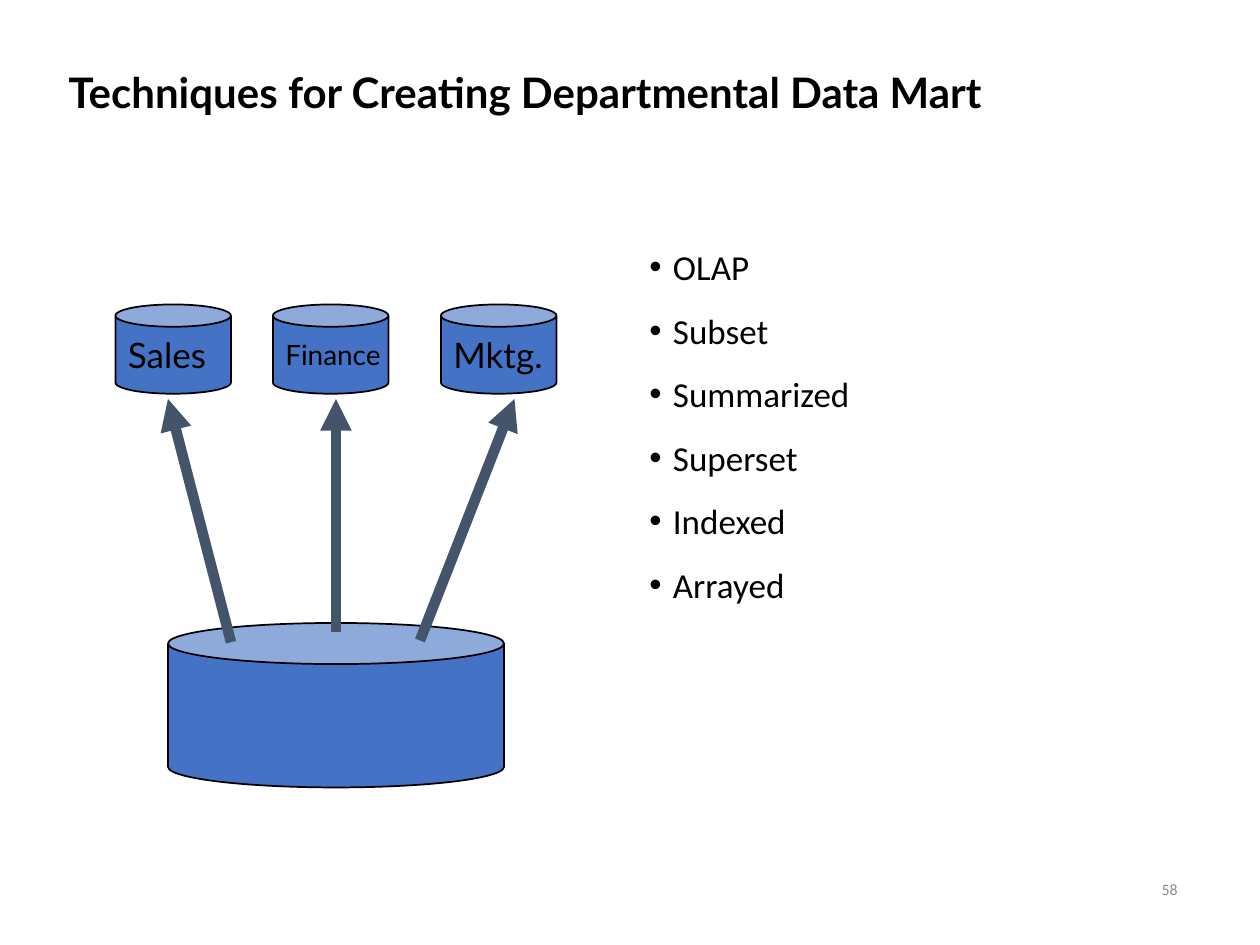
import pptx
import pptx.dml.color
import pptx.enum.shapes
import pptx.enum.text
import pptx.oxml
import pptx.oxml.ns
import pptx.util
from lxml import etree

Pt = pptx.util.Pt
ALIGN = pptx.enum.text.PP_ALIGN
MIDDLE = pptx.enum.text.MSO_ANCHOR.MIDDLE

# Content; all lengths in points
TITLE = "Techniques for Creating Departmental Data Mart"
TECHNIQUES = ["OLAP", "Subset", "Summarized", "Superset", "Indexed", "Arrayed"]
PAGE = "58"
# name, text style, left edge, arrow start (x, y), arrow tip x
MARTS = [
    ("Sales", "mart", 66, (132, 367), 96),
    ("Finance", "mart_small", 156, (192, 361), 192),
    ("Mktg.", "mart", 252, (240, 366), 294),
]
MART_TOP, MART_SIZE = 174, (66, 51)
ARROW_TIP_Y = 228
WAREHOUSE = (96, 356, 192, 94)
TITLE_BOX = (32, 18, 612, 72)
LIST_BOX = (364, 132, 166, 234)
PAGE_BOX = (530, 490, 150, 36)
INDENT = 13.5

THEME = {
    "can": "4472C4", "outline": "000000", "arrow": "44546A",
    "outline_width": 1, "arrow_width": 6,
    "text": {
        "title": ({"name": "Lato", "size": Pt(24), "bold": True}, "000000"),
        "list": ({"name": "Calibri", "size": Pt(20)}, "000000"),
        "mart": ({"name": "Lato", "size": Pt(20)}, "000000"),
        "mart_small": ({"name": "Lato", "size": Pt(16)}, "000000"),
        "page": ({"name": "Calibri", "size": Pt(9)}, "8C8C8C"),
    },
}


def rgb(value):
    return pptx.dml.color.RGBColor.from_string(value)


def write(p, text, style, **paragraph_format):
    for name, value in paragraph_format.items():
        setattr(p, name, value)
    r = p.add_run()
    r.text = text
    attributes, color = THEME["text"][style]
    for name, value in attributes.items():
        setattr(r.font, name, value)
    r.font.color.rgb = rgb(color)


def add_bullet(p):
    pPr = p._p.get_or_add_pPr()
    pPr.set("marL", str(Pt(INDENT)))
    pPr.set("indent", str(-Pt(INDENT)))
    ns = pptx.oxml.ns.qn
    etree.SubElement(pPr, ns("a:buFont")).set("typeface", "Arial")
    etree.SubElement(pPr, ns("a:buChar")).set("char", "•")


def add_can(s, box):
    sp = s.shapes.add_shape(pptx.enum.shapes.MSO_SHAPE.CAN, *map(Pt, box))
    sp.shadow.inherit = False
    sp.fill.solid()
    sp.fill.fore_color.rgb = rgb(THEME["can"])
    sp.line.color.rgb = rgb(THEME["outline"])
    sp.line.width = Pt(THEME["outline_width"])
    return sp


def add_arrow(s, start, tip):
    line = s.shapes.add_connector(
        pptx.enum.shapes.MSO_CONNECTOR.STRAIGHT, *map(Pt, start + tip))
    line.line.color.rgb = rgb(THEME["arrow"])
    line.line.width = Pt(THEME["arrow_width"])
    ns = pptx.oxml.ns.qn
    etree.SubElement(line.line._get_or_add_ln(), ns("a:tailEnd")).set("type", "triangle")
    etree.SubElement(line._element.spPr, ns("a:effectLst"))


def add_text_box(s, box):
    tf = s.shapes.add_textbox(*map(Pt, box)).text_frame
    tf.word_wrap = True
    return tf


def main():
    prs = pptx.Presentation()
    prs.slide_width, prs.slide_height = Pt(720), Pt(540)
    s = prs.slides.add_slide(prs.slide_layouts[5])

    title = s.shapes.title
    for name, value in zip(("left", "top", "width", "height"), TITLE_BOX):
        setattr(title, name, Pt(value))
    tf = title.text_frame
    tf.vertical_anchor = MIDDLE
    write(tf.paragraphs[0], TITLE, "title", alignment=ALIGN.LEFT, line_spacing=0.9)

    tf = add_text_box(s, LIST_BOX)
    for i, technique in enumerate(TECHNIQUES):
        p = tf.add_paragraph() if i else tf.paragraphs[0]
        add_bullet(p)
        write(p, technique, "list", line_spacing=1.2, space_before=Pt(7.5 if i else 0))

    tf = add_text_box(s, PAGE_BOX)
    tf.vertical_anchor = MIDDLE
    write(tf.paragraphs[0], PAGE, "page", alignment=ALIGN.RIGHT)

    add_can(s, WAREHOUSE)
    for name, style, left, start, tip_x in MARTS:
        tf = add_can(s, (left, MART_TOP, *MART_SIZE)).text_frame
        tf.word_wrap = False
        tf.vertical_anchor = MIDDLE
        write(tf.paragraphs[0], name, style, alignment=ALIGN.LEFT)
        add_arrow(s, start, (tip_x, ARROW_TIP_Y))

    prs.save("out.pptx")


if __name__ == "__main__":
    main()
